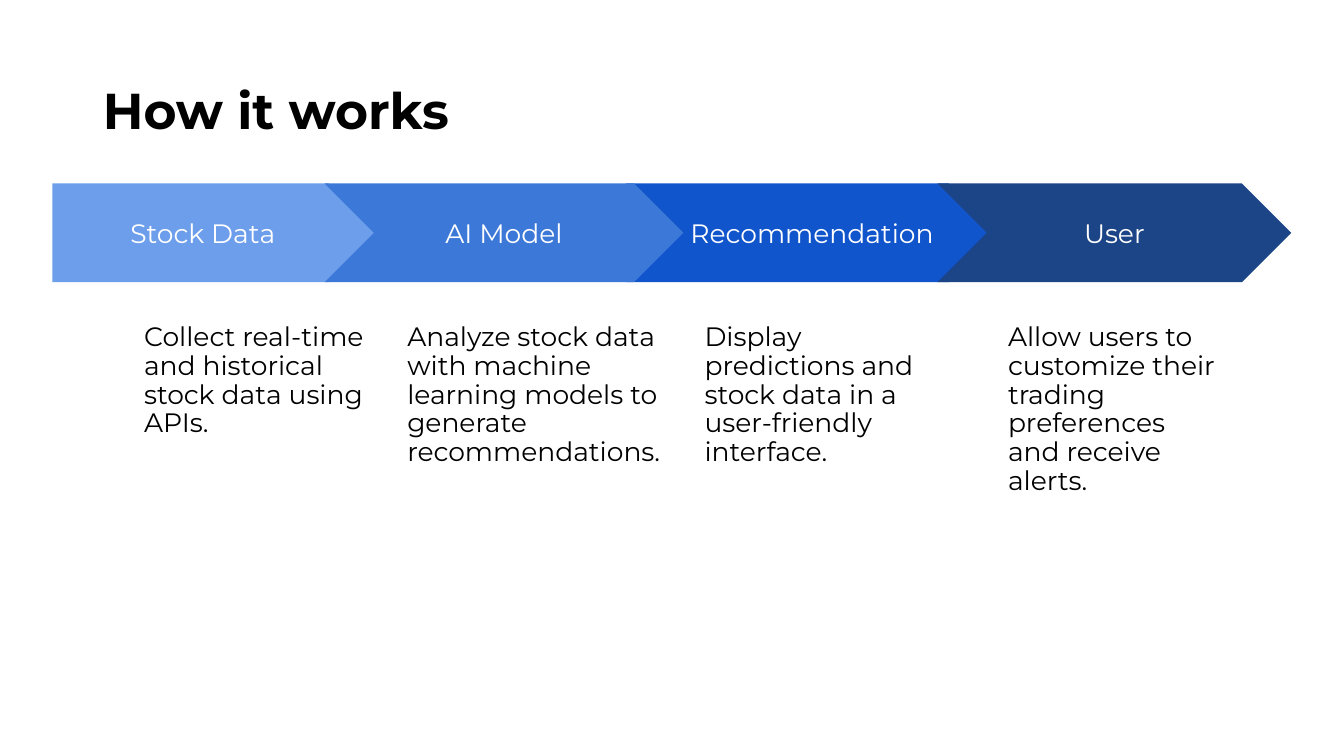
from dataclasses import dataclass

import pptx
import pptx.dml.color
import pptx.enum.shapes
import pptx.enum.text
import pptx.util

SHAPE = pptx.enum.shapes.MSO_SHAPE
ALIGN = pptx.enum.text.PP_ALIGN
ANCHOR = pptx.enum.text.MSO_ANCHOR


@dataclass(frozen=True)
class Theme:
    font: str = "Montserrat"
    title_size: int = 36
    text_size: int = 19
    ink: str = "000000"
    label: str = "FFFFFF"
    blues: tuple = ("6D9EEB", "3C78D8", "1155CC", "1C4587")
    line_spacing: float = 0.9
    inset: float = 0.13


THEME = Theme()
SLIDE_SIZE = (pptx.util.Inches(13.33), pptx.util.Inches(7.5))

# Vertical bands: top and height in percent of the slide height
ARROW_BAND = (24.27, 13.07)
TEXT_BAND = (41.07, 50.8)
TITLE_BOX = (6.9, 5.33, 86.25, 19.33)

# Label, arrow left and width, description, its left and width (percent of slide width)
STEPS = [
    ("Stock Data", (3.9, 24.23),
     "Collect real-time and historical stock data using APIs.", (9.75, 20.03)),
    ("AI Model", (24.15, 26.7),
     "Analyze stock data with machine learning models to generate recommendations.",
     (29.33, 21.6)),
    ("Recommendation", (46.58, 27.68),
     "Display predictions and stock data in a user-friendly interface.", (51.45, 17.85)),
    ("User", (69.75, 26.33),
     "Allow users to customize their trading preferences and receive alerts.",
     (74.03, 17.85)),
]
# Recommendation lies beneath the neighbours that overlap it
STACKING = (2, 0, 1, 3)


def place(left, top, width, height):
    """Turn shares of the slide into lengths."""
    slide_width, slide_height = SLIDE_SIZE
    return (int(slide_width * left / 100), int(slide_height * top / 100),
            int(slide_width * width / 100), int(slide_height * height / 100))


def color(code):
    return pptx.dml.color.RGBColor.from_string(code)


def write(shape, text, size, ink, align, anchor, spacing=1.0, bold=False):
    frame = shape.text_frame
    frame.text = text
    frame.word_wrap = True
    frame.auto_size = pptx.enum.text.MSO_AUTO_SIZE.NONE
    frame.vertical_anchor = anchor
    para = frame.paragraphs[0]
    para.alignment = align
    para.line_spacing = spacing
    font = para.runs[0].font
    font.name = THEME.font
    font.size = pptx.util.Pt(size)
    font.bold = bold
    font.color.rgb = color(ink)


def pad(shape):
    frame = shape.text_frame
    frame.margin_left = frame.margin_right = pptx.util.Inches(THEME.inset)
    frame.margin_top = frame.margin_bottom = pptx.util.Inches(THEME.inset)


def add_title(page, text, box):
    title = page.shapes.title
    title.left, title.top, title.width, title.height = place(*box)
    write(title, text, THEME.title_size, THEME.ink, ALIGN.LEFT, ANCHOR.MIDDLE,
          THEME.line_spacing, bold=True)


def add_arrow(group, label, box, kind, fill):
    arrow = group.shapes.add_shape(kind, *place(*box))
    arrow.adjustments[0] = 0.5
    arrow.shadow.inherit = False
    arrow.fill.solid()
    arrow.fill.fore_color.rgb = color(fill)
    arrow.line.fill.background()
    pad(arrow)
    write(arrow, label, THEME.text_size, THEME.label, ALIGN.CENTER, ANCHOR.MIDDLE)


def add_description(group, text, box):
    description = group.shapes.add_textbox(*place(*box))
    pad(description)
    write(description, text, THEME.text_size, THEME.ink, ALIGN.LEFT, ANCHOR.TOP,
          THEME.line_spacing)


def add_step(page, index):
    label, (arrow_left, arrow_width), text, (text_left, text_width) = STEPS[index]
    arrow_top, arrow_height = ARROW_BAND
    text_top, text_height = TEXT_BAND
    kind = SHAPE.CHEVRON if index else SHAPE.PENTAGON
    group = page.shapes.add_group_shape()
    add_arrow(group, label, (arrow_left, arrow_top, arrow_width, arrow_height),
              kind, THEME.blues[index])
    add_description(group, text, (text_left, text_top, text_width, text_height))


def main():
    deck = pptx.Presentation()
    deck.slide_width, deck.slide_height = SLIDE_SIZE
    page = deck.slides.add_slide(deck.slide_layouts.get_by_name("Title Only"))

    # Heading
    add_title(page, "How it works", TITLE_BOX)

    # Process arrows with their descriptions
    for index in STACKING:
        add_step(page, index)

    deck.save("out.pptx")


if __name__ == "__main__":
    main()
